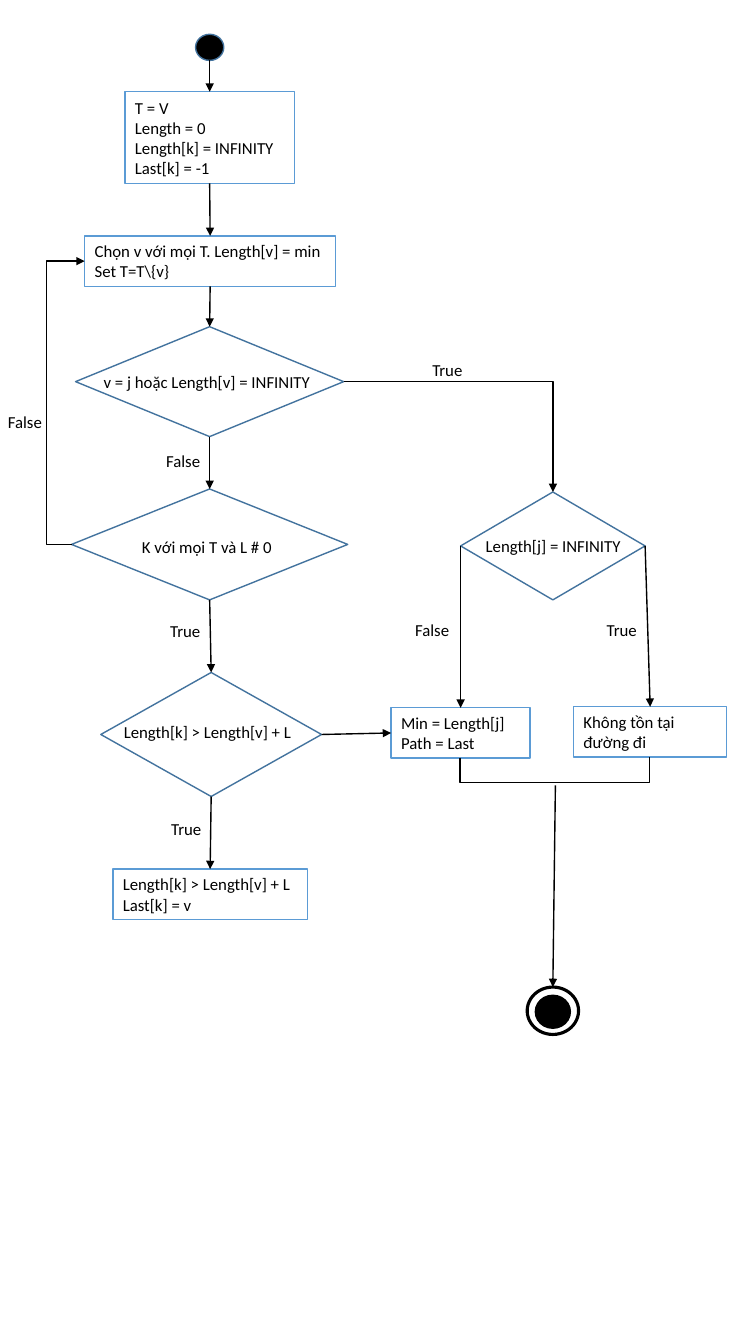
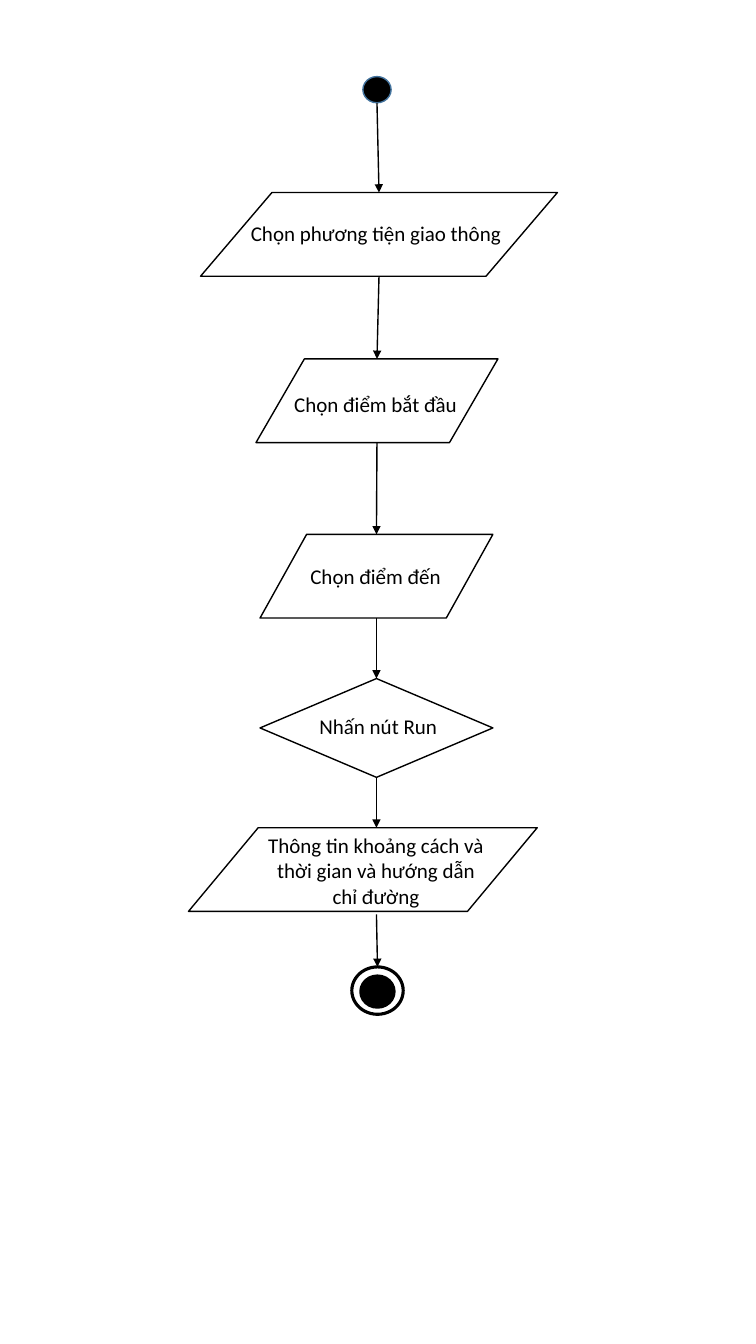
from pptx import Presentation
from pptx.dml.color import RGBColor
from pptx.enum.shapes import MSO_CONNECTOR, MSO_SHAPE
from pptx.enum.text import MSO_ANCHOR, PP_ALIGN
from pptx.oxml.ns import qn
from pptx.util import Inches, Pt
from lxml.etree import SubElement

# Shared style
BLACK = RGBColor(0, 0, 0)
WHITE = RGBColor(255, 255, 255)
BLUE = RGBColor(0x5B, 0x9B, 0xD5)
NAVY = RGBColor(0x43, 0x73, 0x9E)
FONT = "Calibri"
SMALL, LARGE = 12, 15
HEIGHT = {SMALL: 0.3, LARGE: 0.35}

# Connection sites shared by rectangles and diamonds
TOP, LEFT, BOTTOM, RIGHT = range(4)
GLUED = (MSO_SHAPE.RECTANGLE, MSO_SHAPE.DIAMOND)


def write(frame, text, size, align=PP_ALIGN.LEFT):
    frame.text = text
    for line in frame.paragraphs:
        line.alignment = align
        line.font.name = FONT
        line.font.size = Pt(size)
        line.font.color.rgb = BLACK


def outline(slide, kind, place, color, fill=None, width=1):
    shape = slide.shapes.add_shape(kind, *map(Inches, place))
    shape.shadow.inherit = False
    if fill is None:
        shape.fill.background()
    else:
        shape.fill.solid()
        shape.fill.fore_color.rgb = fill
    shape.line.color.rgb = color
    shape.line.width = Pt(width)
    return shape


def box(slide, place, text):
    shape = outline(slide, MSO_SHAPE.RECTANGLE, place, BLUE, WHITE)
    frame = shape.text_frame
    frame.word_wrap = True
    frame.vertical_anchor = MSO_ANCHOR.MIDDLE
    write(frame, text, SMALL)
    return shape


def label(slide, x, y, width, text, size=SMALL):
    place = map(Inches, (x, y, width, HEIGHT[size]))
    frame = slide.shapes.add_textbox(*place).text_frame
    frame.word_wrap = False
    write(frame, text, size)


def start(slide, x, y):
    return outline(slide, MSO_SHAPE.OVAL, (x, y, 0.28, 0.26), NAVY, BLACK)


def finish(slide, x, y):
    ring = outline(slide, MSO_SHAPE.OVAL, (x, y, 0.51, 0.47),
                   BLACK, WHITE, 2.25)
    outline(slide, MSO_SHAPE.OVAL, (x + 0.09, y + 0.09, 0.33, 0.31),
            BLACK, BLACK, 2.25)
    return ring


def side(shape, site):
    """Return the middle of one side of a shape."""
    mid = shape.left + shape.width // 2
    half = shape.top + shape.height // 2
    return {TOP: (mid, shape.top),
            LEFT: (shape.left, half),
            BOTTOM: (mid, shape.top + shape.height),
            RIGHT: (shape.left + shape.width, half)}[site]


def link(slide, begin, end, kind=MSO_CONNECTOR.STRAIGHT, head=True):
    line = slide.shapes.add_connector(kind, *begin, *end)
    line.line.color.rgb = BLACK
    line.line.width = Pt(1)
    props = line._element.spPr
    if head:
        SubElement(props.find(qn("a:ln")), qn("a:tailEnd"), type="triangle")
    SubElement(props, qn("a:effectLst"))
    return line


def join(slide, first, last, out=BOTTOM, into=TOP):
    line = link(slide, side(first, out), side(last, into))
    if first.auto_shape_type in GLUED:
        line.begin_connect(first, out)
    if last.auto_shape_type in GLUED:
        line.end_connect(last, into)


def elbow(slide, begin, end, preset, bend=None, turn=0, head=True):
    """Draw a bent line; bend is the middle leg as a share of the width."""
    line = link(slide, begin, end, MSO_CONNECTOR.ELBOW, head)
    props = line._element.spPr
    shape = props.find(qn("a:prstGeom"))
    shape.set("prst", preset)
    if bend is not None:
        guides = shape.find(qn("a:avLst"))
        if guides is None:
            guides = SubElement(shape, qn("a:avLst"))
        SubElement(guides, qn("a:gd"), name="adj1",
                   fmla=f"val {round(bend * 100000)}")
    if turn:
        props.find(qn("a:xfrm")).set("rot", str(turn * 60000))


def search(slide):
    # Steps and choices
    def choice(*place):
        return outline(slide, MSO_SHAPE.DIAMOND, place, NAVY)

    dot = start(slide, 1.94, 0.34)
    setup = box(slide, (1.24, 0.91, 1.68, 0.91),
                "T = V\nLength = 0\nLength[k] = INFINITY\nLast[k] = -1")
    pick = box(slide, (0.84, 2.34, 2.49, 0.5),
               "Chọn v với mọi T. Length[v] = min\nSet T=T\\{v}")
    done = choice(0.75, 3.24, 2.66, 1.09)
    near = choice(0.71, 4.85, 2.74, 1.1)
    longer = choice(1, 6.67, 2.19, 1.23)
    update = box(slide, (1.12, 8.62, 1.93, 0.5),
                 "Length[k] > Length[v] + L\nLast[k] = v")
    reach = choice(4.57, 4.88, 1.83, 1.07)
    found = box(slide, (3.88, 7.02, 1.38, 0.5),
                "Min = Length[j]\nPath = Last")
    none = box(slide, (5.69, 7.01, 1.52, 0.5), "Không tồn tại đường đi")
    ring = finish(slide, 5.23, 9.79)

    # Straight arrows
    chain = (dot, setup, pick, done, near, longer, update)
    for first, last in zip(chain, chain[1:]):
        join(slide, first, last)
    join(slide, reach, found, LEFT)
    join(slide, reach, none, RIGHT)
    join(slide, longer, found, RIGHT, LEFT)
    link(slide, (Inches(5.51), Inches(7.79)), side(ring, TOP))

    # Bent lines
    elbow(slide, side(near, LEFT), side(pick, LEFT), "bentConnector3", -1.9)
    elbow(slide, side(done, RIGHT), side(reach, TOP), "bentConnector2")
    elbow(slide, (Inches(5.51), Inches(8.45)), (Inches(5.5), Inches(6.57)),
          "bentConnector3", -25, 90, False)

    # Wording of choices and branches
    for item in (
        (0.93, 3.64, 2.27, "v = j hoặc Length[v] = INFINITY"),
        (1.31, 5.27, 1.51, "K với mọi T và L # 0"),
        (4.72, 5.26, 1.55, "Length[j] = INFINITY"),
        (1.13, 7.11, 1.87, "Length[k] > Length[v] + L"),
    ):
        label(slide, *item)
    for x, y in ((1.59, 6.11), (4.19, 3.52), (5.92, 6.1), (1.6, 8.07)):
        label(slide, x, y, 0.5, "True")
    for x, y in ((4.02, 6.1), (1.55, 4.42), (-0.02, 4.03)):
        label(slide, x, y, 0.54, "False")


def guide(slide):
    # Steps
    def step(x, y, width, height=0.83, kind=MSO_SHAPE.FLOWCHART_DATA):
        return outline(slide, kind, (x, y, width, height), BLACK)

    chain = (
        start(slide, 3.6, 0.76),
        step(1.99, 1.91, 3.54),
        step(2.54, 3.56, 2.4),
        step(2.58, 5.3, 2.31),
        step(2.58, 6.73, 2.31, 0.98, MSO_SHAPE.DIAMOND),
    )
    result = step(1.87, 8.21, 3.46)
    ring = finish(slide, 3.49, 9.59)

    # Arrows
    for first, last in zip(chain, chain[1:]):
        join(slide, first, last)
    base = side(chain[-1], BOTTOM)
    link(slide, base, (base[0], result.top))
    link(slide, (base[0], Inches(9.07)), side(ring, TOP))

    # Wording
    for item in (
        (2.39, 2.14, 2.7, "Chọn phương tiện giao thông"),
        (2.82, 3.83, 1.83, "Chọn điểm bắt đầu"),
        (2.98, 5.54, 1.51, "Chọn điểm đến"),
        (3.07, 7.03, 1.38, "Nhấn nút Run"),
    ):
        label(slide, *item, LARGE)
    place = map(Inches, (2.53, 8.21, 2.4, 0.86))
    frame = slide.shapes.add_textbox(*place).text_frame
    frame.word_wrap = True
    write(frame, "Thông tin khoảng cách và thời gian và hướng dẫn chỉ đường",
          LARGE, PP_ALIGN.CENTER)


def main():
    deck = Presentation()
    deck.slide_width = Inches(7.5)
    deck.slide_height = Inches(13.33)
    blank = deck.slide_layouts[6]
    for draw in (search, guide):
        draw(deck.slides.add_slide(blank))
    deck.save("out.pptx")


if __name__ == "__main__":
    main()
